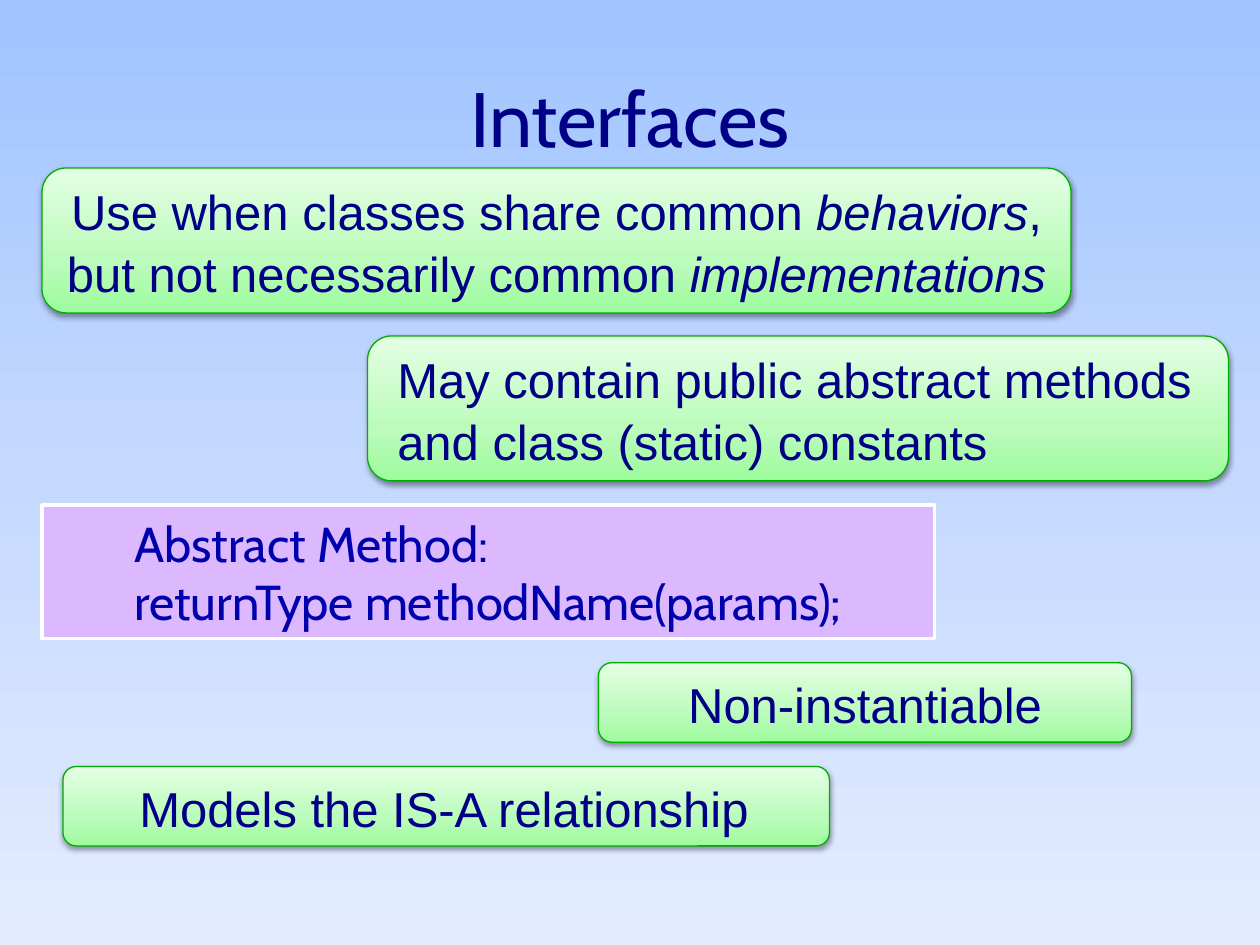
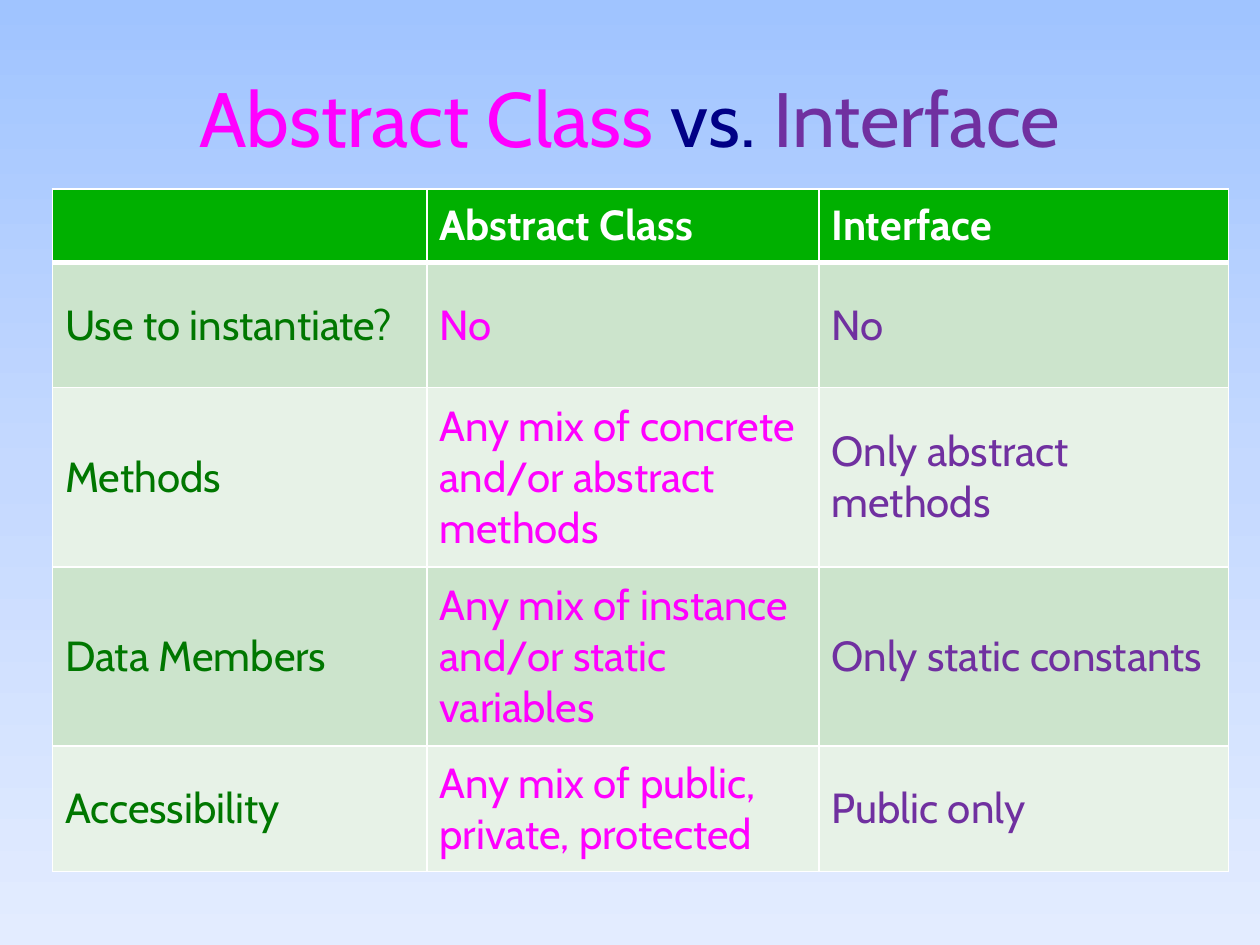
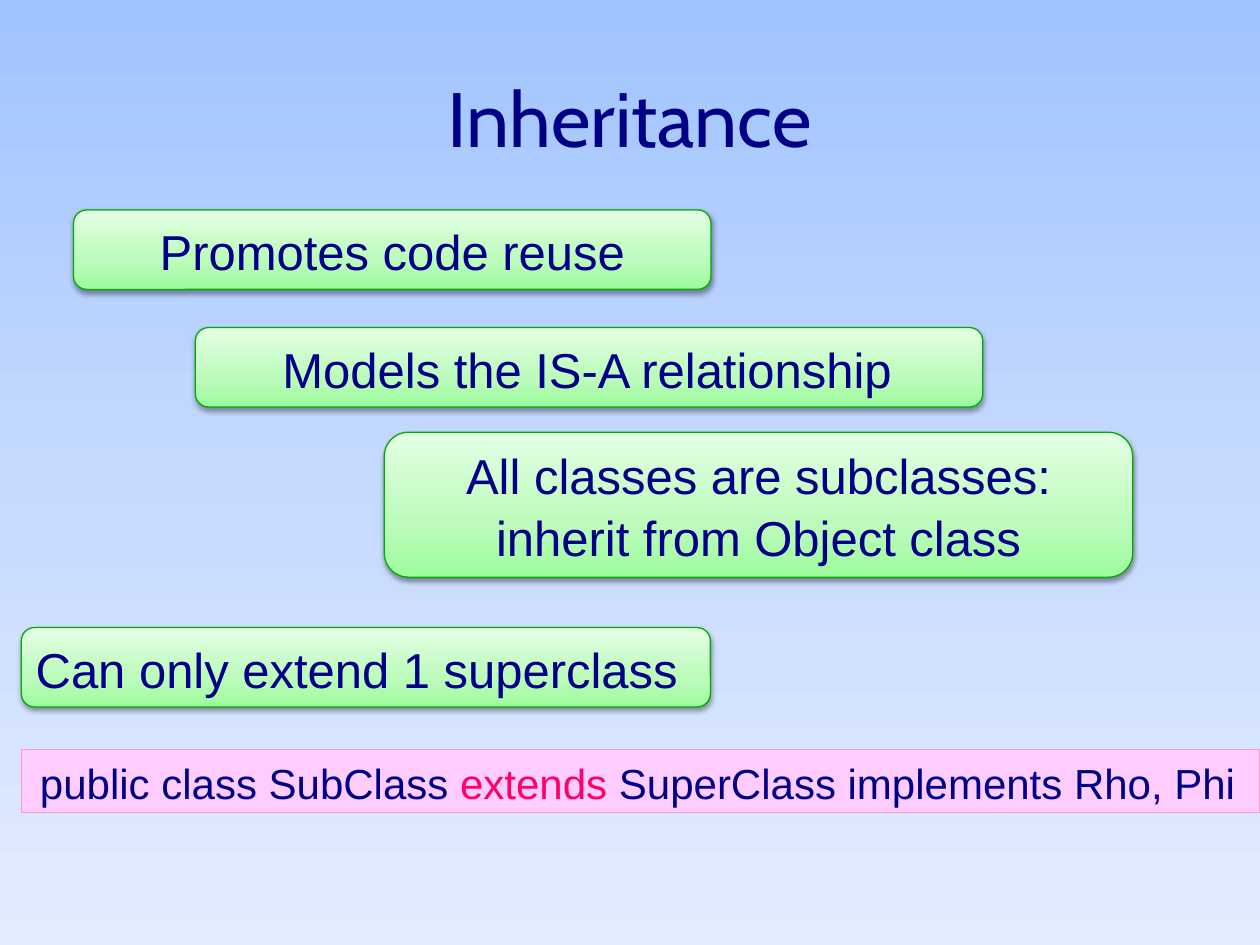
from lxml import etree
from pptx import Presentation
from pptx.dml.color import RGBColor
from pptx.enum.shapes import MSO_SHAPE as SHAPE
from pptx.enum.text import MSO_ANCHOR as ANCHOR, PP_ALIGN as ALIGN
from pptx.oxml.ns import qn
from pptx.util import Pt

COLORS = {
    "navy": "000086", "blue": "0000AC", "green": "007700", "magenta": "FF00FF",
    "purple": "7030A0", "rose": "FF0066", "white": "FFFFFF", "black": "000000",
    "pill_line": "00AC00", "lilac": "DCB9FF", "pink": "FFCCFF", "pink_line": "FF99CC",
    "header": "00B000", "band_dark": "CCE4CC", "band_light": "E7F2E7",
}
BACKGROUND = [(0, "A0C4FF"), (50, "C5D9FF"), (100, "E3ECFF")]
PILL_FILL = [(0, "9DFC9D"), (35, "BBFBBB"), (100, "E4FFE4")]
PILL_HEIGHT = {1: 45.4, 2: 82.8}  # by number of text lines


def rgb(name):
    return RGBColor.from_string(COLORS[name])


def add_xml(parent, tag, **attrs):
    return etree.SubElement(parent, qn(tag), {k: str(v) for k, v in attrs.items()})


def set_gradient(fill, root, stops, angle):
    """Fill with several stops; the angle runs clockwise."""
    fill.gradient()
    fill.gradient_angle = 360 - angle
    gs_list = next(root.iter(qn("a:gsLst")))
    for gs in list(gs_list):
        gs_list.remove(gs)
    for pos, color in stops:
        gs = add_xml(gs_list, "a:gs", pos=pos * 1000)
        add_xml(gs, "a:srgbClr", val=color)


def write(tf, *paragraphs, size=28, font="Arial", color="navy", bold=False,
          align=ALIGN.LEFT, spacing=None):
    """Each paragraph is a string or a list of (text, {color, italic}) runs."""
    for i, runs in enumerate(paragraphs):
        p = tf.add_paragraph() if i else tf.paragraphs[0]
        p.alignment = align
        if spacing:
            p.line_spacing = spacing
        for text, own in [(runs, {})] if isinstance(runs, str) else runs:
            r = p.add_run()
            r.text = text
            r.font.name, r.font.size, r.font.bold = font, Pt(size), bold
            r.font.italic = own.get("italic", False)
            r.font.color.rgb = rgb(own.get("color", color))


class Deck:
    def __init__(self):
        self.prs = Presentation()
        self.prs.slide_width, self.prs.slide_height = Pt(720), Pt(540)
        master = self.prs.slide_master
        set_gradient(master.background.fill, master.element, BACKGROUND, 90)

    def slide(self, title):
        self.s = self.prs.slides.add_slide(self.prs.slide_layouts[6])
        tf = self.s.shapes.add_textbox(Pt(36), Pt(21.6), Pt(648), Pt(90)).text_frame
        tf.word_wrap, tf.vertical_anchor = True, ANCHOR.MIDDLE
        write(tf, title, size=44, font="Cabin", align=ALIGN.CENTER)

    def box(self, kind, x, y, w, h, line, line_width, inset):
        sp = self.s.shapes.add_shape(kind, Pt(x), Pt(y), Pt(w), Pt(h))
        sp.shadow.inherit = False
        sp.line.color.rgb, sp.line.width = rgb(line), Pt(line_width)
        tf = sp.text_frame
        tf.word_wrap, tf.vertical_anchor = True, ANCHOR.MIDDLE
        tf.margin_left = Pt(inset)
        return sp

    def pill(self, text, x, y, w, lines=1, inset=None):
        """Green rounded box; centred unless a left inset is given."""
        sp = self.box(SHAPE.ROUNDED_RECTANGLE, x, y, w, PILL_HEIGHT[lines],
                      "pill_line", 0.75, inset or 7.2)
        set_gradient(sp.fill, sp.element, PILL_FILL, 270)
        effects = next(sp.element.iter(qn("a:effectLst")))
        shadow = add_xml(effects, "a:outerShdw", blurRad=Pt(3.1), dist=Pt(1.6),
                         dir=90 * 60000, rotWithShape=0)
        add_xml(add_xml(shadow, "a:srgbClr", val=COLORS["black"]), "a:alpha", val=38000)
        write(sp.text_frame, text, spacing=1.05,
              align=ALIGN.LEFT if inset else ALIGN.CENTER)

    def code(self, *paragraphs, at, fill, line, line_width, inset, **fmt):
        sp = self.box(SHAPE.RECTANGLE, *at, line, line_width, inset)
        sp.fill.solid()
        sp.fill.fore_color.rgb = rgb(fill)
        write(sp.text_frame, *paragraphs, **fmt)

    def border(self, cell, **widths):
        tc_pr = cell._tc.get_or_add_tcPr()
        for side in "LRTB":
            ln = add_xml(tc_pr, f"a:ln{side}", w=Pt(widths.get(side, 1)))
            add_xml(add_xml(ln, "a:solidFill"), "a:srgbClr", val=COLORS["white"])

    def table(self, rows, x, y, widths, heights, text_colors):
        frame = self.s.shapes.add_table(len(rows), len(widths), Pt(x), Pt(y),
                                        Pt(sum(widths)), Pt(sum(heights)))
        table = frame.table
        table.first_row = table.horz_banding = False
        for col, w in zip(table.columns, widths):
            col.width = Pt(w)
        for i, (row, h) in enumerate(zip(rows, heights)):
            table.rows[i].height = Pt(h)
            band = "band_dark" if i % 2 else "band_light"
            for j, text in enumerate(row):
                cell = table.cell(i, j)
                cell.vertical_anchor = ANCHOR.MIDDLE
                self.border(cell, T=3 if i == 1 else 1, B=1 if i else 3)
                cell.fill.solid()
                cell.fill.fore_color.rgb = rgb(band if i else "header")
                if text:
                    write(cell.text_frame, text, size=24, font="Cabin", bold=i == 0,
                          color=text_colors[j] if i else "white")


def main():
    d = Deck()

    # Interfaces
    d.slide("Interfaces")
    d.pill([("Use when classes share common ", {}), ("behaviors", {"italic": True}),
            (", but not necessarily common ", {}), ("implementations", {"italic": True})],
           24, 96, 588, lines=2)
    d.pill("May contain public abstract methods and class (static) constants",
           210, 192, 492, lines=2, inset=13)
    d.pill("Models the IS-A relationship", 36, 438, 438, inset=41.4)
    d.code("Abstract Method:", "returnType methodName(params);",
           at=(24, 288.7, 510, 76.3), fill="lilac", line="white", line_width=2,
           inset=52.8, font="Cabin", color="blue")
    d.pill("Non-instantiable", 342, 378.7, 304.6)

    # Comparison table
    d.slide([("Abstract Class ", {"color": "magenta"}), ("vs. ", {}),
             ("Interface", {"color": "purple"})])
    d.table([
        ["", "Abstract Class", "Interface"],
        ["Use to instantiate?", "No", "No"],
        ["Methods", "Any mix of concrete and/or abstract methods", "Only abstract methods"],
        ["Data Members", "Any mix of instance and/or static variables",
         "Only static constants"],
        ["Accessibility", "Any mix of public, private, protected", "Public only"],
    ], 30, 108, widths=[214, 224, 234], heights=[42, 71.5, 102.5, 102.5, 71.5],
        text_colors=["green", "magenta", "purple"])

    # Inheritance
    d.slide("Inheritance")
    d.pill("Promotes code reuse", 42, 120, 364.3)
    d.pill("Models the IS-A relationship", 111.6, 187.2, 450, inset=47.6)
    d.pill("All classes are subclasses: inherit from Object class",
           219.6, 247, 427.7, lines=2)
    d.pill("Can only extend 1 superclass", 12.2, 358.6, 393.8, inset=6)
    d.code([("public class SubClass ", {}), ("extends ", {"color": "rose"}),
            ("SuperClass implements Rho, Phi", {})],
           at=(12.2, 428.4, 707.8, 36), fill="pink", line="pink_line", line_width=0.75,
           inset=10.7, size=24, spacing=1.05)

    d.prs.save("out.pptx")


if __name__ == "__main__":
    main()
